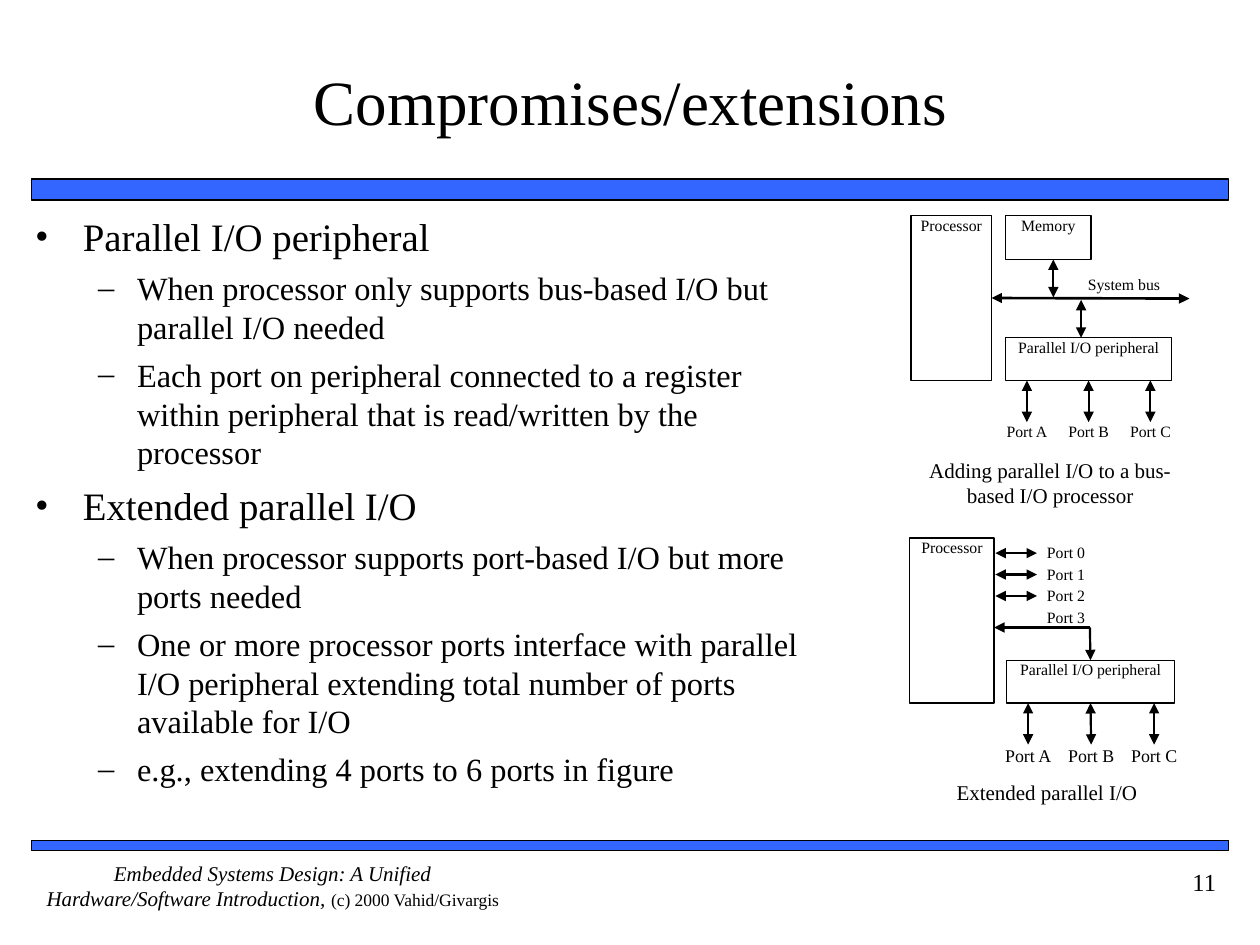
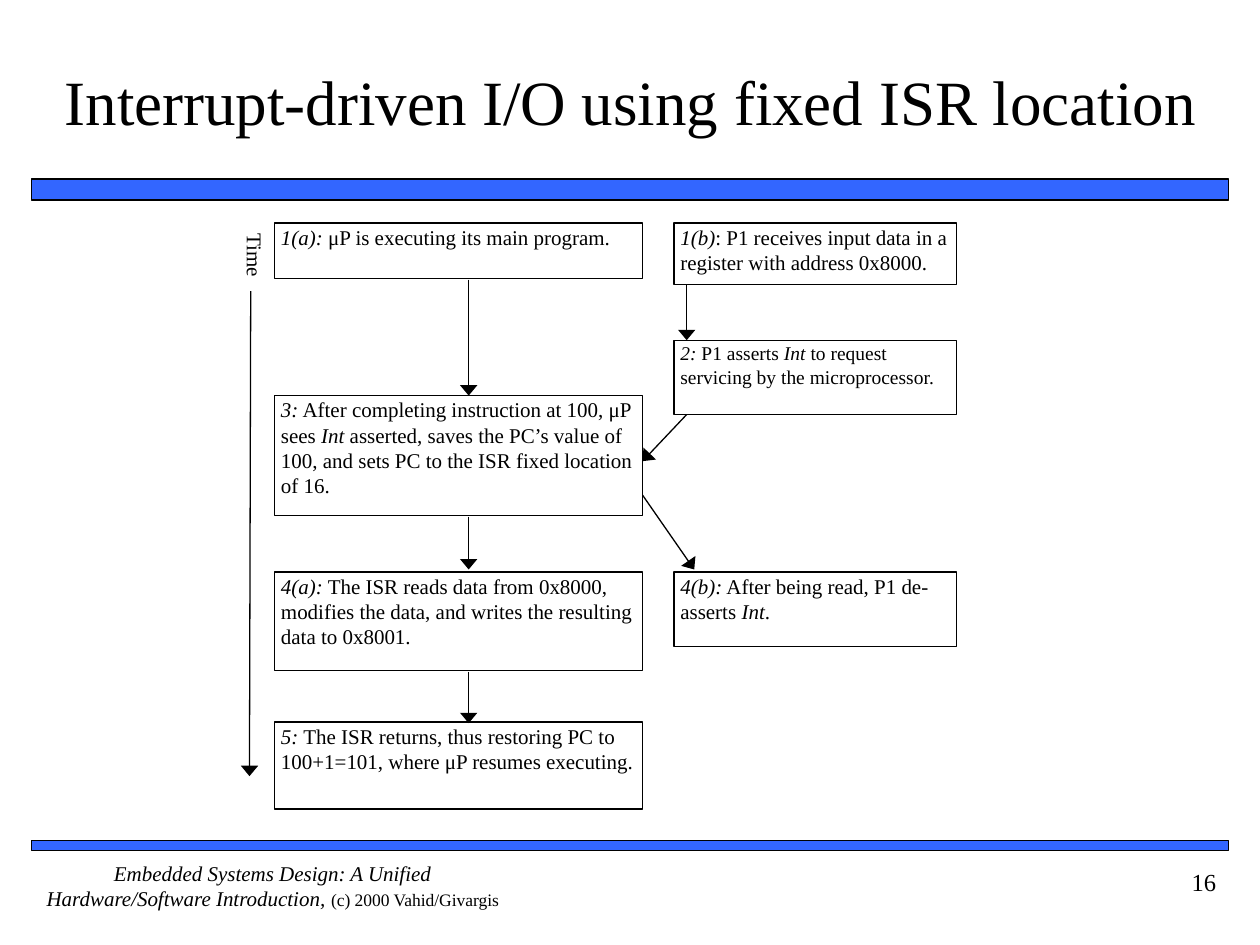
from lxml import etree
from pptx import Presentation
from pptx.dml.color import RGBColor
from pptx.enum.shapes import MSO_CONNECTOR, MSO_SHAPE
from pptx.enum.text import MSO_ANCHOR, PP_ALIGN
from pptx.oxml.ns import qn
from pptx.util import Inches, Pt

LEFT, CENTER, RIGHT = PP_ALIGN.LEFT, PP_ALIGN.CENTER, PP_ALIGN.RIGHT
TOP, MIDDLE = MSO_ANCHOR.TOP, MSO_ANCHOR.MIDDLE
RECTANGLE, STRAIGHT = MSO_SHAPE.RECTANGLE, MSO_CONNECTOR.STRAIGHT
TOP_SIDE, BOTTOM_SIDE, RIGHT_SIDE = 0, 2, 3

FONT = "Times New Roman"
BLACK, WHITE, BLUE = "000000", "FFFFFF", "3366FF"

# Asterisks enclose italic words.
FOOTER_BOOK = "*Embedded Systems Design: A Unified Hardware/Software Introduction, *"
FOOTER_COPYRIGHT = "(c) 2000 Vahid/Givargis"
BANDS = [(0.25, 1.42, 9.5, 0.17), (0.25, 6.67, 9.5, 0.08)]

# level: (size, left indent, hanging indent, space before, bullet)
BULLET_LEVELS = [(22.2, 0.38, -0.38, 6, "•"), (18.5, 0.81, -0.31, 5, "–")]
BULLETS = [
    (0, "Parallel I/O peripheral"),
    (1, "When processor only supports bus-based I/O but parallel I/O needed"),
    (1, "Each port on peripheral connected to a register within peripheral "
        "that is read/written by the processor"),
    (0, "Extended parallel I/O"),
    (1, "When processor supports port-based I/O but more ports needed"),
    (1, "One or more processor ports interface with parallel I/O peripheral "
        "extending total number of ports available for I/O"),
    (1, "e.g., extending 4 ports to 6 ports in figure"),
]
PERIPHERAL_PORTS = ["Port A", "Port B", "Port C"]
PROCESSOR_PORTS = ["Port 0", "Port 1", "Port 2", "Port 3"]

MAIN_LEFT, MAIN_WIDTH = 2.18, 2.92
DEVICE_LEFT, DEVICE_WIDTH = 5.35, 2.24
# (left, width, top, height, size, text)
STEPS = [
    (MAIN_LEFT, MAIN_WIDTH, 1.77, 0.44, 12, "*1(a):* μP is executing its main program."),
    (DEVICE_LEFT, DEVICE_WIDTH, 1.77, 0.49, 12,
     "*1(b)*: P1 receives input data in a register with address 0x8000."),
    (DEVICE_LEFT, DEVICE_WIDTH, 2.7, 0.59, 11.1,
     "*2:* P1 asserts *Int* to request servicing by the microprocessor."),
    (MAIN_LEFT, MAIN_WIDTH, 3.14, 0.95, 12,
     "*3:* After completing instruction at 100, μP sees *Int* asserted, saves "
     "the PC’s value of 100, and sets PC to the ISR fixed location of 16."),
    (MAIN_LEFT, MAIN_WIDTH, 4.54, 0.78, 12,
     "*4(a):* The ISR reads data from 0x8000, modifies the data, and writes "
     "the resulting data to 0x8001."),
    (DEVICE_LEFT, DEVICE_WIDTH, 4.54, 0.59, 12,
     "*4(b):* After being read, P1 de-asserts *Int*."),
    (MAIN_LEFT, MAIN_WIDTH, 5.73, 0.69, 12,
     "*5:* The ISR returns, thus restoring PC to 100+1=101, where μP resumes executing."),
]
STEP_ARROWS = [
    ((3.72, 2.22), (3.72, 3.14)),
    ((3.72, 4.1), (3.72, 4.52)),
    ((3.72, 5.33), (3.72, 5.74)),
    ((5.45, 2.26), (5.45, 2.7)),
    ((5.45, 3.29), (5.1, 3.66)),
    ((5.1, 3.93), (5.51, 4.52)),
    ((1.99, 2.31), (1.98, 6.16)),
]


def color(hex_value):
    return RGBColor.from_string(hex_value)


def add_spans(para, marked_text, size):
    """Add runs to a paragraph; text between asterisks becomes italic."""
    for index, piece in enumerate(marked_text.split("*")):
        if piece:
            span = para.add_run()
            span.text = piece
            span.font.name = FONT
            span.font.size = Pt(size)
            span.font.italic = index % 2 == 1
            span.font.color.rgb = color(BLACK)


def set_frame(shape, insets=(0, 0), anchor=TOP):
    frame = shape.text_frame
    frame.word_wrap = True
    frame.vertical_anchor = anchor
    frame.margin_left = frame.margin_right = Inches(insets[0])
    frame.margin_top = frame.margin_bottom = Inches(insets[1])
    return frame


def add_text(slide, place, text, size, align=CENTER, insets=(0, 0), anchor=TOP):
    box = slide.shapes.add_textbox(*map(Inches, place))
    para = set_frame(box, insets, anchor).paragraphs[0]
    para.alignment = align
    add_spans(para, text, size)
    return box


def add_box(slide, place, text="", size=9, align=CENTER, insets=(0, 0),
            fill=WHITE, line_width=0.75):
    box = slide.shapes.add_shape(RECTANGLE, *map(Inches, place))
    box.shadow.inherit = False
    if fill:
        box.fill.solid()
        box.fill.fore_color.rgb = color(fill)
    else:
        box.fill.background()
    box.line.color.rgb = color(BLACK)
    box.line.width = Pt(line_width)
    para = set_frame(box, insets).paragraphs[0]
    para.alignment = align
    add_spans(para, text, size)
    return box


def add_arrow(slide, start, end, width=1.25, both_ends=True, head_width="med"):
    arrow = slide.shapes.add_connector(STRAIGHT, *map(Inches, (*start, *end)))
    arrow.line.color.rgb = color(BLACK)
    arrow.line.width = Pt(width)
    line = arrow.line._get_or_add_ln()
    for tag in ["a:headEnd", "a:tailEnd"] if both_ends else ["a:tailEnd"]:
        etree.SubElement(line, qn(tag), type="triangle", w=head_width, len="med")
    etree.SubElement(arrow._element.spPr, qn("a:effectLst"))
    return arrow


def add_page(deck, title, number):
    """Add a slide with the shared title, bands, footer and page number."""
    slide = deck.slides.add_slide(deck.slide_layouts[6])
    for band in BANDS:
        add_box(slide, band, fill=BLUE, line_width=1)
    footer = add_text(slide, (0.25, 6.83, 3.83, 0.5), FOOTER_BOOK, 12)
    add_spans(footer.text_frame.paragraphs[0], FOOTER_COPYRIGHT, 10)
    add_text(slide, (8.75, 6.83, 1, 0.5), str(number), 14, RIGHT, (0.1, 0.05))
    add_text(slide, (0.42, 0.17, 9.17, 1.25), title, 36, insets=(0, 0.05), anchor=MIDDLE)
    return slide


def add_bullets(slide):
    box = slide.shapes.add_textbox(*map(Inches, (0.18, 1.64, 6.46, 4.92)))
    frame = set_frame(box, (0.1, 0.05))
    for index, (level, text) in enumerate(BULLETS):
        size, indent, hanging, space, bullet = BULLET_LEVELS[level]
        para = frame.add_paragraph() if index else frame.paragraphs[0]
        para.level = level
        if index:
            para.space_before = Pt(space)
        properties = para._p.get_or_add_pPr()
        properties.set("marL", str(Inches(indent)))
        properties.set("indent", str(Inches(hanging)))
        etree.SubElement(properties, qn("a:buFont"), typeface=FONT)
        etree.SubElement(properties, qn("a:buChar"), char=bullet)
        add_spans(para, text, size)


def add_peripheral(slide, place, first_port, port_step, label_size):
    """Add the peripheral box with an arrow and a label for each port."""
    left, top, width, height = place
    peripheral = add_box(slide, place, "Parallel I/O peripheral")
    bottom = top + height
    for index, label in enumerate(PERIPHERAL_PORTS):
        x = first_port + index * port_step
        arrow = add_arrow(slide, (x, bottom), (x, bottom + 0.33))
        if label == "Port B":
            arrow.begin_connect(peripheral, BOTTOM_SIDE)
        add_text(slide, (x - 0.31, bottom + 0.33, 0.62, 0.17), label, label_size)
    return peripheral


def add_bus_diagram(slide):
    processor = add_box(slide, (7.23, 1.71, 0.64, 1.31), "Processor")
    add_box(slide, (7.98, 1.71, 0.68, 0.35), "Memory")
    add_peripheral(slide, (7.98, 2.68, 1.32, 0.34), 8.15, 0.49, 9)
    bus = add_arrow(slide, (7.87, 2.37), (9.44, 2.37), 1.5)
    bus.begin_connect(processor, RIGHT_SIDE)
    add_text(slide, (8.47, 2.18, 0.9, 0.17), "System bus", 9)
    add_arrow(slide, (8.36, 2.06), (8.36, 2.36))
    add_arrow(slide, (8.58, 2.38), (8.58, 2.68))
    add_text(slide, (7.23, 3.63, 2.21, 0.49),
             "Adding parallel I/O to a bus-based I/O processor", 12)


def add_extended_diagram(slide):
    add_box(slide, (7.22, 4.27, 0.67, 1.31), "Processor")
    peripheral = add_peripheral(slide, (7.99, 5.24, 1.33, 0.34), 8.16, 0.5, 10.2)
    for index, label in enumerate(PROCESSOR_PORTS):
        top = 4.31 + index * 0.17
        add_text(slide, (8.15, top, 0.62, 0.17), label, 9)
        if label != "Port 3":
            add_arrow(slide, (8.23, top + 0.08), (7.9, top + 0.08))
    corner = (8.65, 4.98)
    add_arrow(slide, corner, (7.89, 4.98), both_ends=False)
    drop = add_arrow(slide, corner, (8.65, 5.24), both_ends=False)
    drop.end_connect(peripheral, TOP_SIDE)
    add_text(slide, (7.23, 6.19, 2.16, 0.37), "Extended parallel I/O", 12)


def add_interrupt_flow(slide):
    for left, width, top, height, size, text in STEPS:
        add_box(slide, (left, top, width, height), text, size, LEFT, (0.05, 0.01), fill=None)
    for start, end in STEP_ARROWS:
        add_arrow(slide, start, end, 0.75, both_ends=False, head_width="lg")
    time_label = add_text(slide, (1.76, 1.9, 0.41, 0.32), "Time", 12, LEFT)
    time_label.rotation = 90


def main():
    deck = Presentation()
    deck.slide_width, deck.slide_height = Inches(10), Inches(7.5)
    compromises = add_page(deck, "Compromises/extensions", 11)
    add_bullets(compromises)
    add_bus_diagram(compromises)
    add_extended_diagram(compromises)
    interrupts = add_page(deck, "Interrupt-driven I/O using fixed ISR location", 16)
    add_interrupt_flow(interrupts)
    deck.save("out.pptx")


if __name__ == "__main__":
    main()
